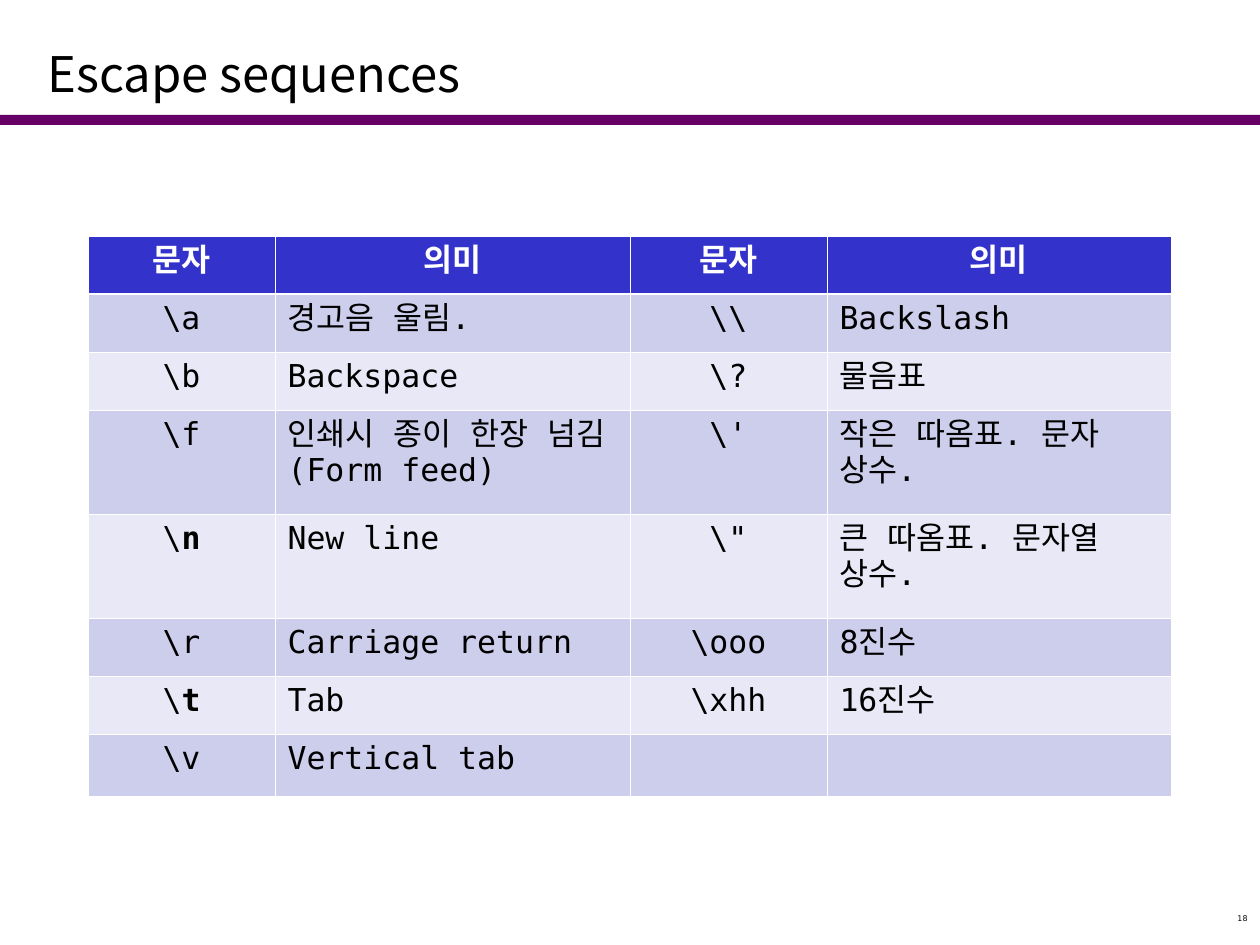
"""Build a slide with a table of C escape sequences."""
from lxml.etree import SubElement as Sub
from pptx import Presentation
from pptx.dml.color import RGBColor
from pptx.enum.shapes import MSO_SHAPE as Shape
from pptx.enum.text import MSO_ANCHOR as Anchor, PP_ALIGN as Align
from pptx.oxml.ns import qn
from pptx.util import Pt

PX = 914400 // 126
BLACK = RGBColor(0, 0, 0)
WHITE = RGBColor(255, 255, 255)
PLUM = RGBColor(0x66, 0, 0x66)
BLUE = RGBColor(0x33, 0x33, 0xCC)
BANDS = [RGBColor(0xE8, 0xE8, 0xF6), RGBColor(0xCD, 0xCD, 0xEC)]
SANS = "Noto Sans CJK KR"
MONO = "DejaVu Sans Mono"


def write(para, text, name, size, color, bold=False):
    run = para.add_run()
    run.text = text
    run.font.color.rgb = color
    look = {"name": name, "size": Pt(size), "bold": bold}
    for key, value in look.items():
        setattr(run.font, key, value)
    Sub(run.font._element, qn("a:ea"), typeface=name)


def edge(cell, side, width):
    props = cell._tc.get_or_add_tcPr()
    line = Sub(props, qn("a:" + side), w=str(Pt(width)))
    fill = Sub(line, qn("a:solidFill"))
    Sub(fill, qn("a:srgbClr"), val=str(WHITE))


deck = Presentation()
deck.slide_width, deck.slide_height = 1260 * PX, 945 * PX
slide = deck.slides.add_slide(deck.slide_layouts[6])
shapes = slide.shapes

bar = shapes.add_shape(Shape.RECTANGLE, 0, 115 * PX, 1260 * PX, 10 * PX)
bar.shadow.inherit = False
bar.fill.solid()
bar.fill.fore_color.rgb = PLUM
bar.line.fill.background()

labels = [
    ("Escape sequences", (35, 36, 1131, 73), SANS, 28, Align.LEFT, 1, Anchor.MIDDLE),
    ("18", (966, 909, 294, 26), "DejaVu Sans", 4.5, Align.RIGHT, 0.8, Anchor.TOP),
]
for text, box, font, size, align, space, anchor in labels:
    frame = shapes.add_textbox(*[n * PX for n in box]).text_frame
    frame.word_wrap = True
    frame.vertical_anchor = anchor
    para = frame.paragraphs[0]
    para.alignment = align
    para.line_spacing = space
    write(para, text, font, size, BLACK)

rows = [
    ("문자", "의미", "문자", "의미"),
    (r"\a", "경고음 울림.", r"\\", "Backslash"),
    (r"\b", "Backspace", r"\?", "물음표"),
    (r"\f", "인쇄시 종이 한장 넘김(Form feed)", r"\'", "작은 따옴표. 문자 상수."),
    (r"\n", "New line", r"\"", "큰 따옴표. 문자열 상수."),
    (r"\r", "Carriage return", r"\ooo", "8진수"),
    (r"\t", "Tab", r"\xhh", "16진수"),
    (r"\v", "Vertical tab", "", ""),
]
widths = [187, 355, 197, 344]
heights = [58, 58, 58, 104, 104, 58, 58, 63]
strong = (r"\n", r"\t")

grid = shapes.add_table(
    len(rows), len(widths), 88 * PX, 236 * PX, sum(widths) * PX, sum(heights) * PX
).table
for col, width in zip(grid.columns, widths):
    col.width = width * PX
for row, height in zip(grid.rows, heights):
    row.height = height * PX

for r, row in enumerate(rows):
    head = r == 0
    for c, text in enumerate(row):
        cell = grid.cell(r, c)
        sides = {"lnL": 0.45, "lnR": 0.45, "lnT": 1.47 if r == 1 else 0.45,
                 "lnB": 1.47 if head else 0.45}
        for side, width in sides.items():
            edge(cell, side, width)
        cell.fill.solid()
        cell.fill.fore_color.rgb = BLUE if head else BANDS[r % 2]
        para = cell.text_frame.paragraphs[0]
        para.alignment = Align.CENTER if head or c % 2 == 0 else Align.LEFT
        parts = [text[0], text[1:]] if text in strong else [text] if text else []
        for i, part in enumerate(parts):
            write(para, part, MONO, 18, WHITE if head else BLACK, head or i == 1)

deck.save("out.pptx")
